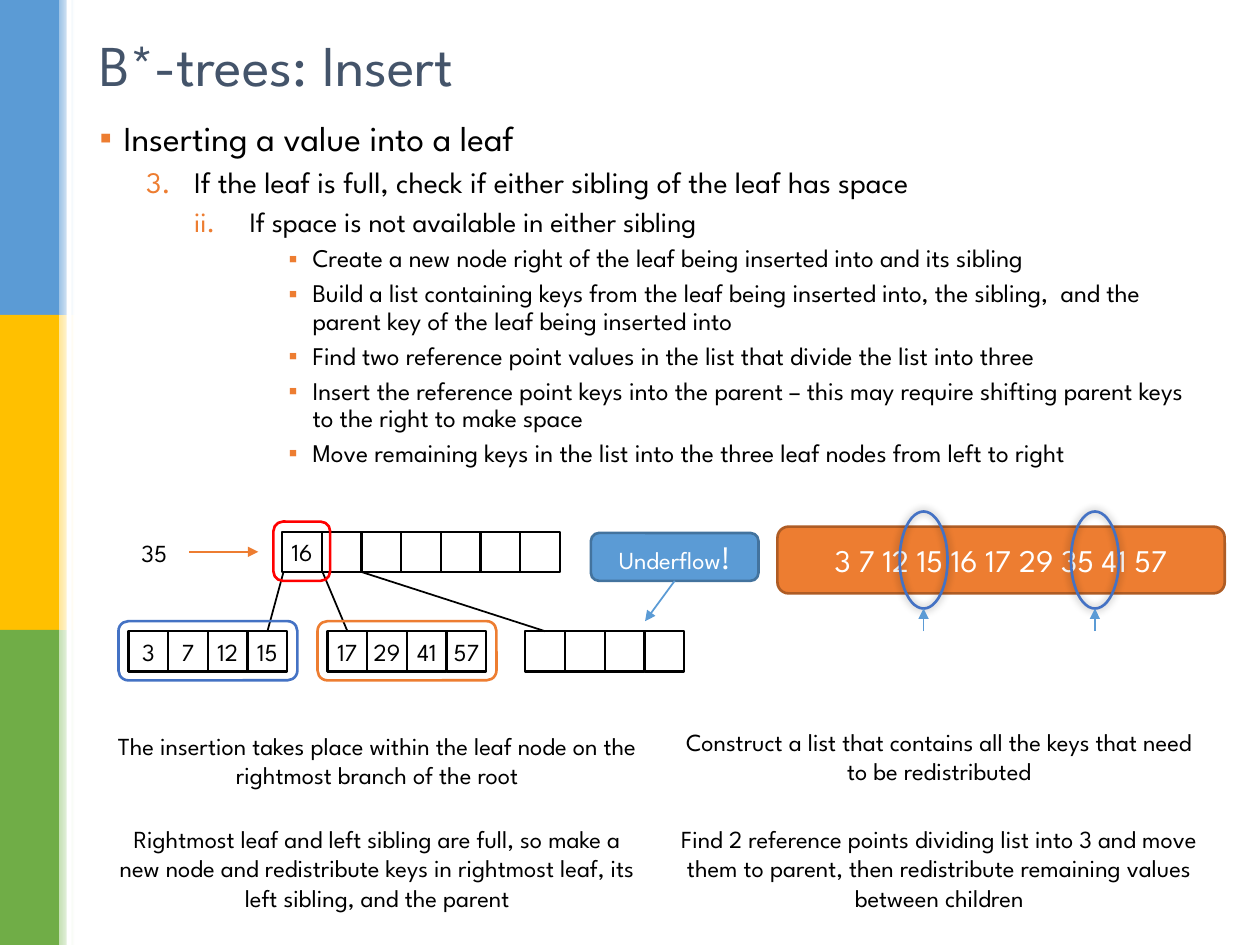
from lxml import etree
from pptx import Presentation
from pptx.dml.color import RGBColor
from pptx.enum.shapes import MSO_CONNECTOR, MSO_SHAPE
from pptx.enum.text import MSO_ANCHOR, MSO_AUTO_SIZE, PP_ALIGN
from pptx.oxml.ns import qn
from pptx.util import Inches, Pt

RECT, ROUND, OVAL = MSO_SHAPE.RECTANGLE, MSO_SHAPE.ROUNDED_RECTANGLE, MSO_SHAPE.OVAL
STRAIGHT = MSO_CONNECTOR.STRAIGHT
CENTER, LEFT = PP_ALIGN.CENTER, PP_ALIGN.LEFT
MIDDLE, TOP = MSO_ANCHOR.MIDDLE, MSO_ANCHOR.TOP
NO_AUTOFIT = MSO_AUTO_SIZE.NONE
TOP_SITE, BOTTOM_SITE = 0, 2


class Theme:
    font = "League Spartan"
    title, body, list_box, key = 33, 14, 18, 14
    levels = {0: 20, 1: 17, 2: 16, 4: 14.5}
    black, white, slate = "000000", "FFFFFF", "44546A"
    orange, orange_dark = "ED7D31", "AF5C24"
    blue, blue_dark, royal, red = "5B9BD5", "43739E", "4472C4", "FF0000"
    bands = [("5B9BD5", "9DC3E6"), ("FFC000", "FFE699"), ("70AD47", "C5E0B4")]


def rgb(value):
    return RGBColor.from_string(value)


def add_xml(parent, tag, **attrs):
    return etree.SubElement(parent, qn(tag), {k: str(v) for k, v in attrs.items()})


class SlideBuilder:
    def __init__(self, slide, theme):
        self.s, self.theme = slide, theme

    def format_run(self, r, size, color):
        r.font.name, r.font.size = self.theme.font, Pt(size)
        r.font.color.rgb = rgb(color)

    def place(self, sp, left, top, width, height):
        sp.left, sp.top = Inches(left), Inches(top)
        sp.width, sp.height = Inches(width), Inches(height)

    def title(self, text, *box):
        sp = self.s.shapes.title
        self.place(sp, *box)
        tf = sp.text_frame
        tf.text = text
        tf.auto_size, tf.vertical_anchor = NO_AUTOFIT, MIDDLE
        tf.paragraphs[0].alignment = LEFT
        self.format_run(tf.paragraphs[0].runs[0], self.theme.title, self.theme.slate)

    def outline(self, items, *box):
        """items: (level, left indent, hanging indent, numbering or None, text)"""
        sp = self.s.placeholders[1]
        self.place(sp, *box)
        tf = sp.text_frame
        tf.auto_size, tf.vertical_anchor = NO_AUTOFIT, TOP
        for i, (level, indent, hang, numbering, text) in enumerate(items):
            p = tf.paragraphs[0] if i == 0 else tf.add_paragraph()
            size = self.theme.levels[level]
            p.text, p.level = text, level
            p.line_spacing = 0.9
            p.space_before = Pt(0.3 * size if i else 0)
            pPr = p._p.get_or_add_pPr()
            pPr.set("marL", str(Inches(indent)))
            pPr.set("indent", str(-Inches(hang)))
            add_xml(add_xml(pPr, "a:buClr"), "a:srgbClr", val=self.theme.orange)
            if numbering:
                scheme, start = numbering
                add_xml(pPr, "a:buAutoNum", type=scheme, startAt=start)
            else:
                add_xml(pPr, "a:buChar", char="▪")
            self.format_run(p.runs[0], size, self.theme.black)

    def shape(self, kind, *box, fill=None, line=None, weight=1.5):
        sp = self.s.shapes.add_shape(kind, *map(Inches, box))
        sp.shadow.inherit = False
        if fill:
            sp.fill.solid()
            sp.fill.fore_color.rgb = rgb(fill)
        else:
            sp.fill.background()
        if line:
            sp.line.color.rgb, sp.line.width = rgb(line), Pt(weight)
        else:
            sp.line.fill.background()
        return sp

    def label(self, sp, runs, color):
        """Centre the (text, size) runs inside a shape."""
        tf = sp.text_frame
        tf.vertical_anchor = MIDDLE
        p = tf.paragraphs[0]
        p.alignment = CENTER
        for text, size in runs:
            r = p.add_run()
            r.text = text
            self.format_run(r, size, color)

    def text(self, text, *box):
        tf = self.s.shapes.add_textbox(*map(Inches, box)).text_frame
        tf.word_wrap = True
        tf.text = text
        p = tf.paragraphs[0]
        p.alignment = CENTER
        self.format_run(p.runs[0], self.theme.body, self.theme.black)

    def node(self, left, top, keys, pitch=0.315, height=0.32):
        """A tree node: a row of cells, some of them holding a key."""
        cells = []
        for i, key in enumerate(keys):
            sp = self.shape(RECT, left + i * pitch, top, pitch, height,
                            line=self.theme.black, weight=1.25)
            if key:
                tf = sp.text_frame
                tf.margin_left = tf.margin_right = tf.margin_top = tf.margin_bottom = 0
                self.label(sp, [(key, self.theme.key)], self.theme.black)
            cells.append(sp)
        return cells

    def line(self, start, end, color, weight=1, arrow=False, source=None, target=None):
        c = self.s.shapes.add_connector(STRAIGHT, *map(Inches, (*start, *end)))
        c.line.color.rgb, c.line.width = rgb(color), Pt(weight)
        if source is not None:
            c.begin_connect(source, BOTTOM_SITE)
        if target is not None:
            c.end_connect(target, TOP_SITE)
        if arrow:
            add_xml(c.line._get_or_add_ln(), "a:tailEnd", type="triangle")
        add_xml(c._element.spPr, "a:effectLst")

    def glow_ring(self, *box):
        sp = self.shape(OVAL, *box, line=self.theme.royal)
        effects = sp._element.spPr.find(qn("a:effectLst"))
        shadow = add_xml(effects, "a:outerShdw", blurRad=Pt(5), dist=0, dir=0)
        add_xml(add_xml(shadow, "a:srgbClr", val=self.theme.black), "a:alpha", val=40000)

    def side_bands(self):
        height = 2.5
        for i, (color, tint) in enumerate(self.theme.bands):
            self.shape(RECT, 0, i * height, 0.47, height, fill=color)
            fade = self.shape(RECT, 0.47, i * height, 0.12, height)
            fade.fill.gradient()
            fade.fill.gradient_angle = 0
            for stop, shade in zip(fade.fill.gradient_stops, (tint, self.theme.white)):
                stop.color.rgb = rgb(shade)
        self.shape(RECT, 0.53, 0, 0.04, 3 * height, fill=self.theme.white)


def main():
    prs = Presentation()
    prs.slide_width, prs.slide_height = Inches(10), Inches(7.5)
    t = Theme()
    b = SlideBuilder(prs.slides.add_slide(prs.slide_layouts[1]), t)

    # Side decoration, title and outline
    b.side_bands()
    b.title("B*-trees: Insert", 0.69, 0.16, 8.62, 0.68)
    steps = [
        "Create a new node right of the leaf being inserted into and its sibling",
        "Build a list containing keys from the leaf being inserted into, the sibling,  and the parent key of the leaf being inserted into",
        "Find two reference point values in the list that divide the list into three",
        "Insert the reference point keys into the parent – this may require shifting parent keys to the right to make space",
        "Move remaining keys in the list into the three leaf nodes from left to right",
    ]
    b.outline([
        (0, 0.19, 0.19, None, "Inserting a value into a leaf"),
        (1, 0.75, 0.38, ("arabicPeriod", 3),
         "If the leaf is full, check if either sibling of the leaf has space"),
        (2, 1.19, 0.44, ("romanLcPeriod", 2), "If space is not available in either sibling"),
        *[(4, 1.69, 0.19, None, step) for step in steps],
    ], 0.69, 0.91, 8.92, 6.41)

    # Tree nodes and branches
    root_top, leaf_top = 4.22, 5.01
    b.node(2.24, root_top, ["16"] + [""] * 6)
    left_leaf = b.node(1.02, leaf_top, ["3", "7", "12", "15"])
    right_leaf = b.node(2.6, leaf_top, ["17", "29", "41", "57"])
    new_leaf = b.node(4.17, leaf_top, [""] * 4)
    for x, cell in ((2.25, left_leaf[-1]), (2.56, right_leaf[0]), (2.87, new_leaf[0])):
        b.line((x, 4.54), (x, leaf_top), t.black, target=cell)

    # Inserted value and node highlights
    b.text("35", 0.91, root_top, 0.63, 0.34)
    b.line((1.5, 4.38), (2.05, 4.38), t.orange, weight=1.5, arrow=True)
    b.shape(ROUND, 2.17, 4.14, 0.45, 0.47, line=t.red)
    for left, color in ((0.94, t.royal), (2.52, t.orange)):
        b.shape(ROUND, left, 4.93, 1.42, 0.47, line=color)

    # Underflow callout
    callout = b.shape(ROUND, 4.69, 4.23, 1.33, 0.38, fill=t.blue, line=t.blue_dark)
    b.label(callout, [("Underflow", t.body), ("!", t.list_box)], t.white)
    b.line((5.35, 4.61), (5.12, 4.93), t.blue, arrow=True, source=callout)

    # Key list with its two reference points
    key_list = b.shape(ROUND, 6.17, 4.18, 3.55, 0.53, fill=t.orange, line=t.orange_dark)
    b.label(key_list, [("3 7 12 15 16 17 29 35 41 57", t.list_box)], t.white)
    for left in (7.14, 8.5):
        b.glow_ring(left, 4.06, 0.38, 0.77)
        b.line((left + 0.19, 5.01), (left + 0.19, 4.83), t.blue, arrow=True)

    # Explanations
    b.text("The insertion takes place within the leaf node on the rightmost branch of the root",
           0.83, 5.75, 4.33, 0.57)
    b.text("Rightmost leaf and left sibling are full, so make a new node and redistribute keys in rightmost leaf, its left sibling, and the parent",
           0.83, 6.49, 4.33, 0.81)
    b.text("Construct a list that contains all the keys that need to be redistributed",
           5.29, 5.72, 4.33, 0.57)
    b.text("Find 2 reference points dividing list into 3 and move them to parent, then redistribute remaining values between children",
           5.29, 6.49, 4.33, 0.81)

    prs.save("out.pptx")


if __name__ == "__main__":
    main()
